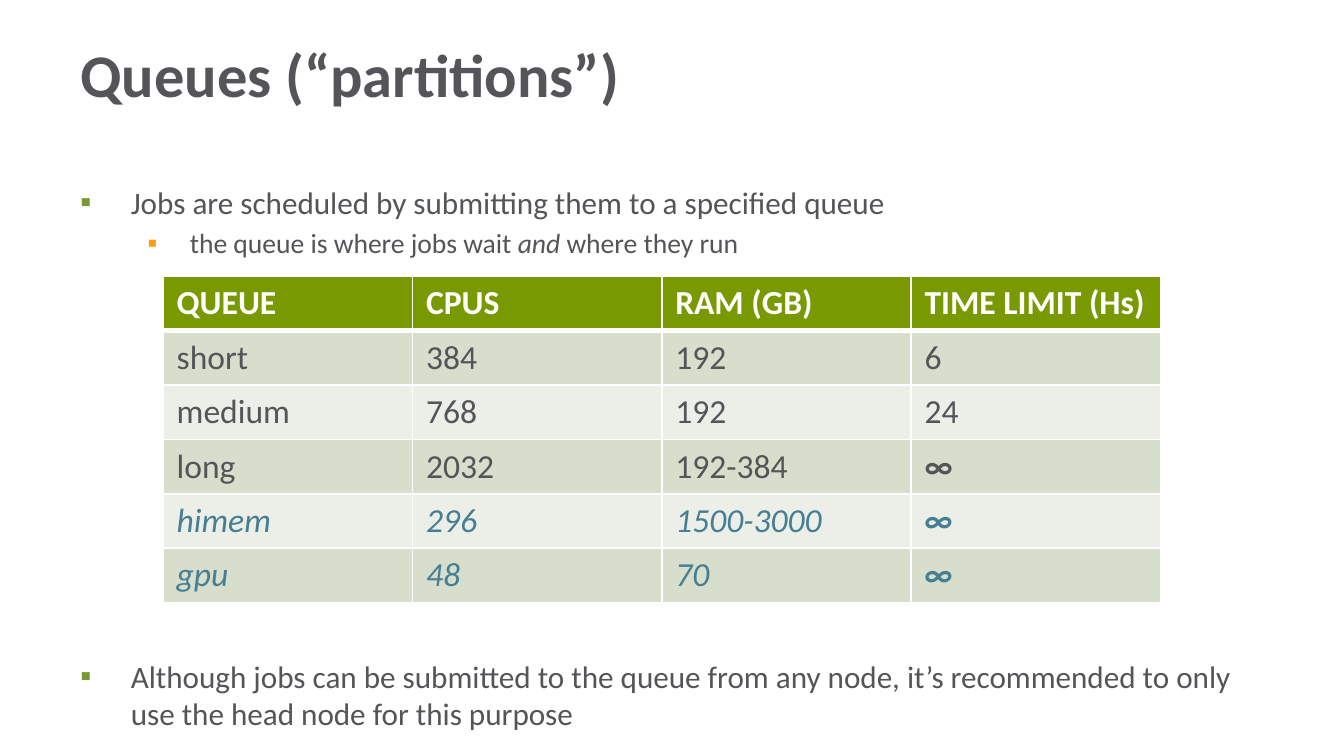
import dataclasses

import lxml.etree
import pptx
import pptx.dml.color
import pptx.enum.text
import pptx.oxml.ns
import pptx.util

PX = 4572


@dataclasses.dataclass(frozen=True)
class Theme:
    font: str = "Calibri"
    text: str = "555559"
    accent: str = "467E93"
    white: str = "FFFFFF"
    header: str = "799900"
    bands: tuple = ("D7DECC", "ECEFE7")
    bullets: tuple = ("799934", "FF9E15")
    title_size: float = 32.4
    body_sizes: tuple = (16.7, 14.8)
    table_size: float = 18


THEME = Theme()
INDENTS = ((75, 75), (163, 63))
HEADINGS = ("QUEUE", "CPUS", "RAM (GB)", "TIME LIMIT (Hs)")
QUEUES = (
    ("short", "384", "192", "6"),
    ("medium", "768", "192", "24"),
    ("long", "2032", "192-384", "∞"),
    ("himem", "296", "1500-3000", "∞"),
    ("gpu", "48", "70", "∞"),
)
SPECIAL_QUEUES = ("himem", "gpu")
POINTS = (
    (0, 0, ("Jobs are scheduled by submitting them to a specified queue",)),
    (1, 3, ("the queue is where jobs wait ", "and", " where they run")),
    (0, 213, ("Although jobs can be submitted to the queue from any node, "
              "it’s recommended to only use the head node for this purpose",)),
)


def px(n):
    return pptx.util.Emu(n * PX)


def rgb(value):
    return pptx.dml.color.RGBColor.from_string(value)


def add_xml(parent, tag, **attrs):
    el = lxml.etree.SubElement(parent, pptx.oxml.ns.qn(tag))
    for name, value in attrs.items():
        el.set(name, str(value))
    return el


def set_font(font, size, color, bold=False, italic=False):
    font.name = THEME.font
    font.size = pptx.util.Pt(size)
    font.color.rgb = rgb(color)
    font.bold = bold
    font.italic = italic


def add_text_frame(s, box):
    tf = s.shapes.add_textbox(*map(px, box)).text_frame
    tf.word_wrap = True
    return tf


def set_bullet(p, level):
    left, hanging = INDENTS[level]
    pPr = p._p.get_or_add_pPr()
    pPr.set("marL", str(px(left)))
    pPr.set("indent", str(px(-hanging)))
    add_xml(add_xml(pPr, "a:buClr"), "a:srgbClr", val=THEME.bullets[level])
    add_xml(pPr, "a:buFont", typeface=THEME.font)
    add_xml(pPr, "a:buChar", char="▪")


def set_borders(cell, bottom):
    tcPr = cell._tc.get_or_add_tcPr()
    for side, width in (("L", 1), ("R", 1), ("T", 1), ("B", bottom)):
        ln = add_xml(tcPr, f"a:ln{side}", w=pptx.util.Pt(width))
        add_xml(add_xml(ln, "a:solidFill"), "a:srgbClr", val=THEME.white)


def add_title(s, box):
    tf = add_text_frame(s, box)
    tf.vertical_anchor = pptx.enum.text.MSO_ANCHOR.MIDDLE
    p = tf.paragraphs[0]
    p.text = "Queues (“partitions”)"
    set_font(p.font, THEME.title_size, THEME.text, bold=True)


def add_points(s, box):
    tf = add_text_frame(s, box)
    for i, (level, space, parts) in enumerate(POINTS):
        p = tf.add_paragraph() if i else tf.paragraphs[0]
        p.level = level
        p.space_before = pptx.util.Pt(space)
        set_bullet(p, level)
        for j, part in enumerate(parts):
            r = p.add_run()
            r.text = part
            set_font(r.font, THEME.body_sizes[level], THEME.text, italic=j == 1)


def add_queue_table(s, box):
    rows = (HEADINGS, *QUEUES)
    table = s.shapes.add_table(len(rows), len(HEADINGS), *map(px, box)).table
    for i, row in enumerate(rows):
        header = i == 0
        special = row[0] in SPECIAL_QUEUES
        fill = THEME.header if header else THEME.bands[(i - 1) % 2]
        color = THEME.white if header else THEME.accent if special else THEME.text
        for j, value in enumerate(row):
            cell = table.cell(i, j)
            set_borders(cell, 3 if header else 1)
            cell.fill.solid()
            cell.fill.fore_color.rgb = rgb(fill)
            p = cell.text_frame.paragraphs[0]
            p.text = value
            set_font(p.font, THEME.table_size, color,
                     bold=header or value == "∞", italic=special)


def main():
    prs = pptx.Presentation()
    prs.slide_width, prs.slide_height = px(2000), px(1125)
    s = prs.slides.add_slide(prs.slide_layouts[6])
    add_title(s, (100, 49, 1612, 120))
    add_points(s, (100, 263, 1800, 844))
    add_queue_table(s, (243, 411, 1484, 486))
    prs.save("out.pptx")


if __name__ == "__main__":
    main()
